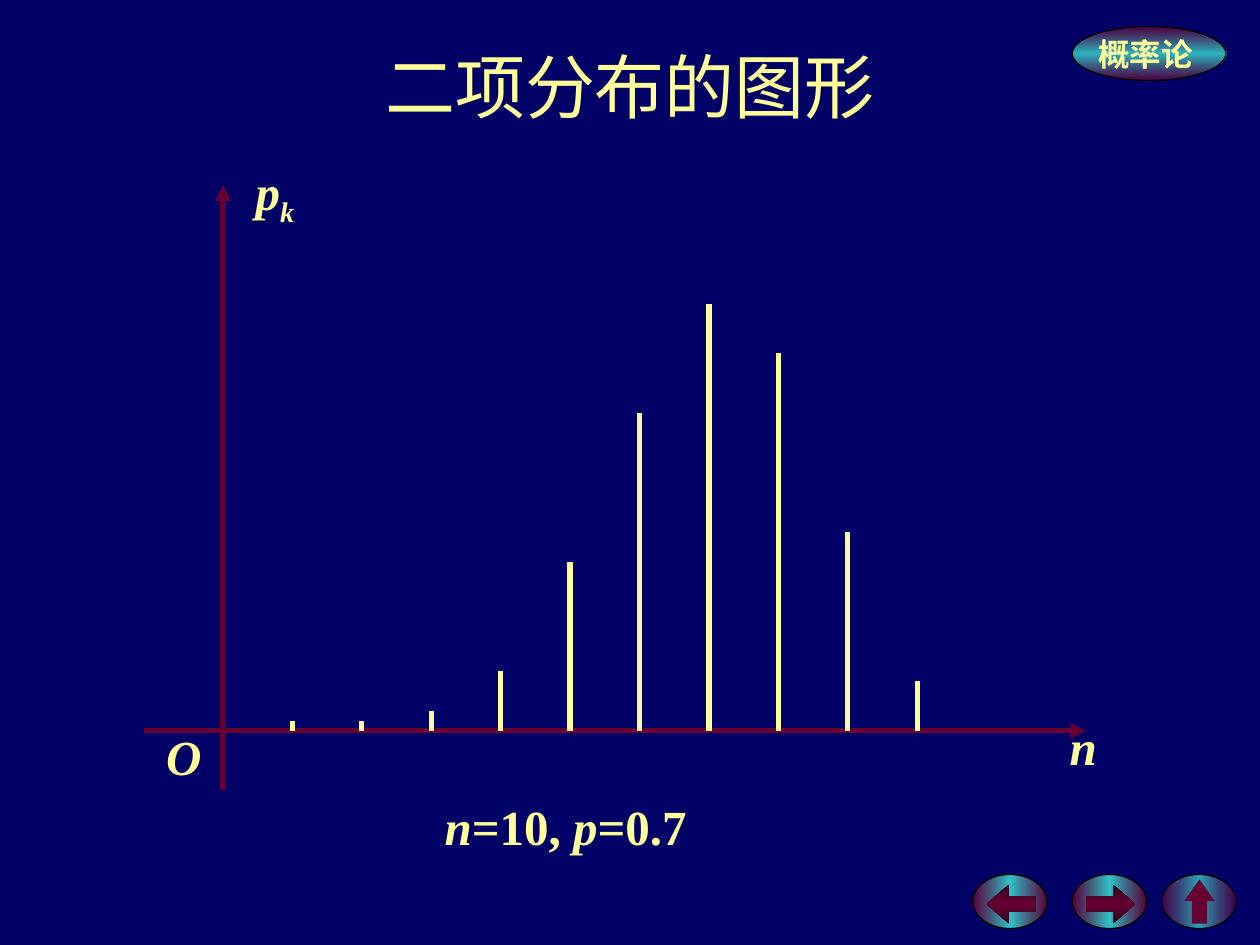
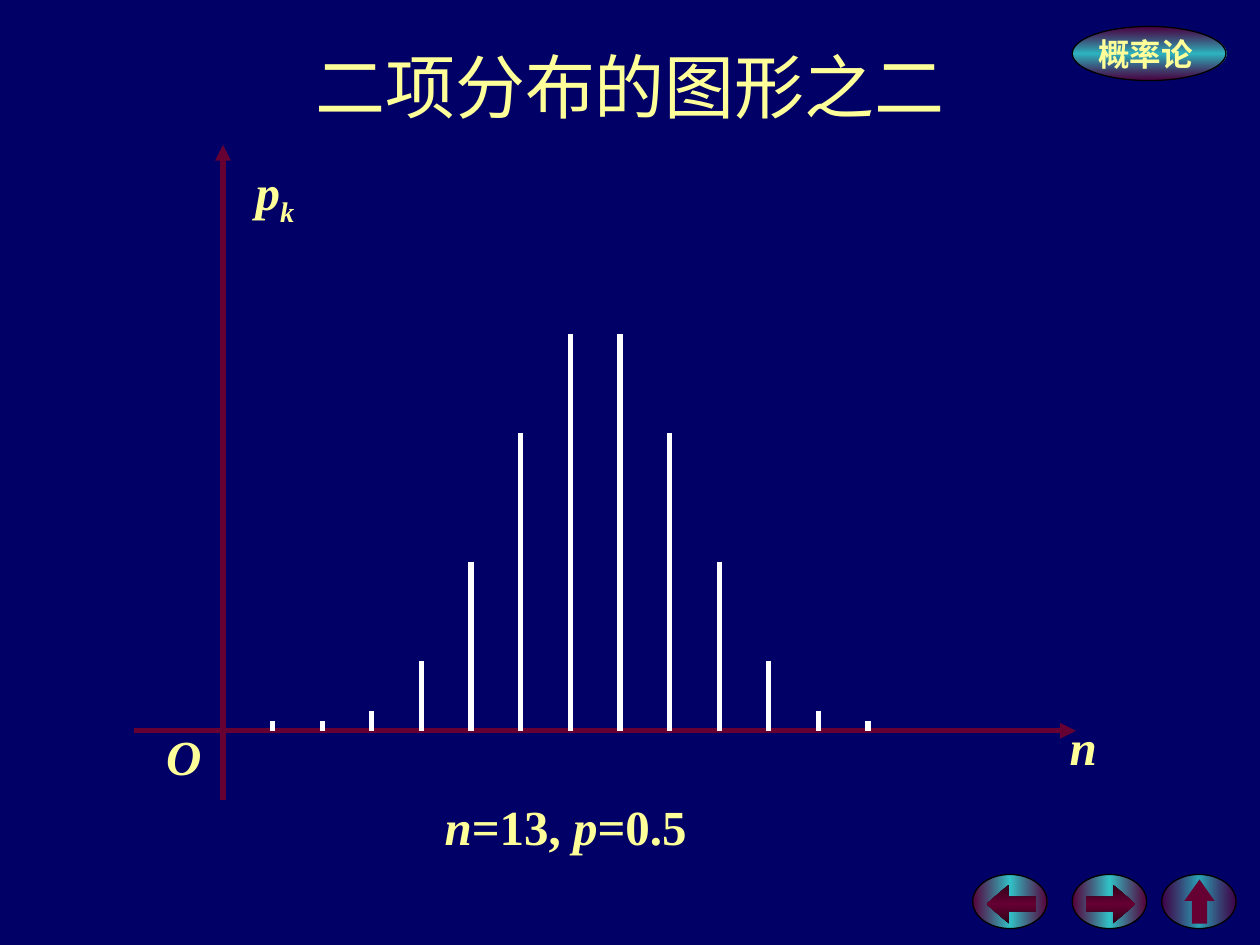
"""Two slides on the shape of the binomial distribution."""
from dataclasses import dataclass

from lxml import etree
from pptx import Presentation
from pptx.dml.color import RGBColor
from pptx.enum import shapes, text
from pptx.oxml.ns import qn
from pptx.util import Inches, Pt


@dataclass(frozen=True)
class Theme:
    """Colours, fonts and sizes shared by the slides."""
    navy: str = "000066"
    yellow: str = "FFFF99"
    white: str = "FFFFFF"
    black: str = "000000"
    wine: str = "660033"
    dark_wine: str = "2F0018"
    teal: str = "33CCCC"
    latin: str = "Times New Roman"
    cjk: str = "Noto Sans CJK SC"
    title_size: int = 40
    label_size: int = 28
    badge_size: int = 18
    stroke: float = 3
    outline: float = 0.74


T = Theme()
SHAPE = shapes.MSO_SHAPE


def rgb(color):
    """Turn a hex string into a colour."""
    return RGBColor.from_string(color)


def style_paragraph(p, size, font, bold=False, centred=False):
    """Set the font of a whole paragraph, East Asian face included."""
    p.font.size, p.font.bold, p.font.name = Pt(size), bold, font
    p.font.color.rgb = rgb(T.yellow)
    p.alignment = text.PP_ALIGN.CENTER if centred else text.PP_ALIGN.LEFT
    defaults = p._p.pPr.find(qn("a:defRPr"))
    etree.SubElement(defaults, qn("a:ea"), typeface=T.cjk)


def add_text(slide, left, top, width, height):
    """Add a wrapping text box and return its first paragraph."""
    box = slide.shapes.add_textbox(Inches(left), Inches(top), Inches(width), Inches(height))
    box.text_frame.word_wrap = True
    return box.text_frame.paragraphs[0]


def add_label(slide, left, top, width, height, runs):
    """Add a bold label from (text, italic, subscript) runs."""
    p = add_text(slide, left, top, width, height)
    for words, italic, subscript in runs:
        r = p.add_run()
        r.text = words
        r.font.italic = italic
        if subscript:
            r.font._element.set("baseline", "-25000")
    style_paragraph(p, T.label_size, T.latin, bold=True)


def add_preset(parent, kind, left, top, width, height, adjust=()):
    """Add a preset shape without shadow or outline."""
    sp = parent.shapes.add_shape(kind, Inches(left), Inches(top), Inches(width), Inches(height))
    sp.shadow.inherit = False
    sp.line.fill.background()
    for i, value in enumerate(adjust):
        sp.adjustments[i] = value
    return sp


def fill_band(sp, edge, middle, angle, alphas=(100, 100)):
    """Fill a shape with a gradient from edge to middle and back."""
    sp.fill.gradient()
    sp.fill.gradient_angle = angle
    stops = sp._element.spPr.find(qn("a:gradFill")).find(qn("a:gsLst"))
    for stop in list(stops):
        stops.remove(stop)
    for pos, color, alpha in ((0, edge, alphas[0]), (50, middle, alphas[1]), (100, edge, alphas[0])):
        stop = etree.SubElement(stops, qn("a:gs"), pos=str(pos * 1000))
        clr = etree.SubElement(stop, qn("a:srgbClr"), val=color)
        etree.SubElement(clr, qn("a:alpha"), val=str(alpha * 1000))


def add_oval(parent, left, top, width, height, angle, alphas):
    """Add a glossy oval with a thin black outline."""
    sp = add_preset(parent, SHAPE.OVAL, left, top, width, height)
    fill_band(sp, T.wine, T.teal, angle, alphas)
    sp.line.color.rgb = rgb(T.black)
    sp.line.width = Pt(T.outline)
    return sp


def add_badge(slide, left, top, width, height):
    """Add the course badge."""
    tf = add_oval(slide, left, top, width, height, 90, (73, 89)).text_frame
    tf.word_wrap = False
    tf.vertical_anchor = text.MSO_ANCHOR.MIDDLE
    p = tf.paragraphs[0]
    p.text = "概率论 "
    style_paragraph(p, T.badge_size, T.latin, bold=True, centred=True)


def add_navigation(slide, left, top):
    """Add the back, forward and up buttons in a row."""
    side, up = (0.36, 0.57), (0.5, 0.71)
    buttons = (  # button x, opacity, arrow kind, arrow box in the button, arrow proportions
        (0, (86, 96), SHAPE.LEFT_ARROW, (0.11, 0.08, 0.39, 0.31), side),
        (0.79, (86, 96), SHAPE.RIGHT_ARROW, (0.11, 0.08, 0.39, 0.31), side),
        (1.5, (62, 81), SHAPE.UP_ARROW, (0.18, 0.04, 0.24, 0.35), up),
    )
    for x, alphas, kind, (dx, dy, width, height), adjust in buttons:
        group = slide.shapes.add_group_shape()
        add_oval(group, left + x, top, 0.59, 0.43, 0, alphas)
        arrow = add_preset(group, kind, left + x + dx, top + dy, width, height, adjust)
        if kind == SHAPE.UP_ARROW:
            arrow.fill.solid()
            arrow.fill.fore_color.rgb = rgb(T.wine)
        else:
            fill_band(arrow, T.dark_wine, T.wine, 90)


def add_line(parent, x1, y1, x2, y2, color, arrow=False):
    """Add a straight line, with an arrowhead at its end if asked."""
    line = parent.shapes.add_connector(
        shapes.MSO_CONNECTOR.STRAIGHT, Inches(x1), Inches(y1), Inches(x2), Inches(y2))
    line.line.color.rgb = rgb(color)
    line.line.width = Pt(T.stroke)
    if arrow:
        etree.SubElement(line.line._get_or_add_ln(), qn("a:tailEnd"), type="triangle")
    etree.SubElement(line._element.spPr, qn("a:effectLst"))


def add_graph(slide, box, origin, heights, span, peak, color):
    """Draw axes over the box and evenly spaced bars, the tallest at peak."""
    left, top, width, height = box
    x0, y0 = origin
    group = slide.shapes.add_group_shape()
    add_line(group, left, y0, left + width, y0, T.wine, arrow=True)
    add_line(group, x0, top + height, x0, top, T.wine, arrow=True)
    for k, value in enumerate(heights, start=1):
        x = x0 + span * k / len(heights)
        add_line(group, x, y0, x, y0 - peak * value / max(heights), color)


def add_graph_labels(slide, origin, n, p):
    """Label the axes, the origin and the parameters."""
    x0, y0 = origin
    add_label(slide, x0 + 6.62, y0 - 0.16, 0.71, 0.57, [("n", True, False)])
    add_label(slide, x0 - 0.55, y0 - 0.08, 0.71, 0.57, [("O", True, False)])
    add_label(slide, x0 + 0.16, y0 - 4.57, 0.71, 0.63, [("p", True, False), ("k", True, True)])
    add_label(slide, x0 + 1.66, y0 + 0.47, 4.33, 0.57, [
        ("n", True, False), (f"={n}, ", False, False),
        ("p", True, False), (f"={p}", False, False)])


def add_distribution_slide(prs, title, n, p, **graph):
    """Add one slide with its title, graph, badge and navigation."""
    slide = prs.slides.add_slide(prs.slide_layouts[6])
    slide.background.fill.solid()
    slide.background.fill.fore_color.rgb = rgb(T.navy)
    add_badge(slide, 8.51, 0.21, 1.22, 0.43)
    add_navigation(slide, 7.72, 6.94)
    heading = add_text(slide, 0.5, 0.3, 9, 1.25)
    heading.text = title
    style_paragraph(heading, T.title_size, T.cjk, centred=True)
    origin = (1.77, 5.8)
    add_graph(slide, origin=origin, **graph)
    add_graph_labels(slide, origin, n, p)


prs = Presentation()
prs.slide_width, prs.slide_height = Inches(10), Inches(7.5)
add_distribution_slide(
    prs, "二项分布的图形", 10, 0.7, box=(1.14, 1.47, 7.48, 4.8),
    heights=(1, 1, 2, 6, 17, 32, 43, 38, 20, 5), span=5.51, peak=3.39, color=T.yellow)
add_distribution_slide(
    prs, "二项分布的图形之二", 13, 0.5, box=(1.06, 1.15, 7.48, 5.2),
    heights=(1, 1, 2, 7, 17, 30, 40, 40, 30, 17, 7, 2, 1), span=5.12, peak=3.15, color=T.white)
prs.save("out.pptx")
